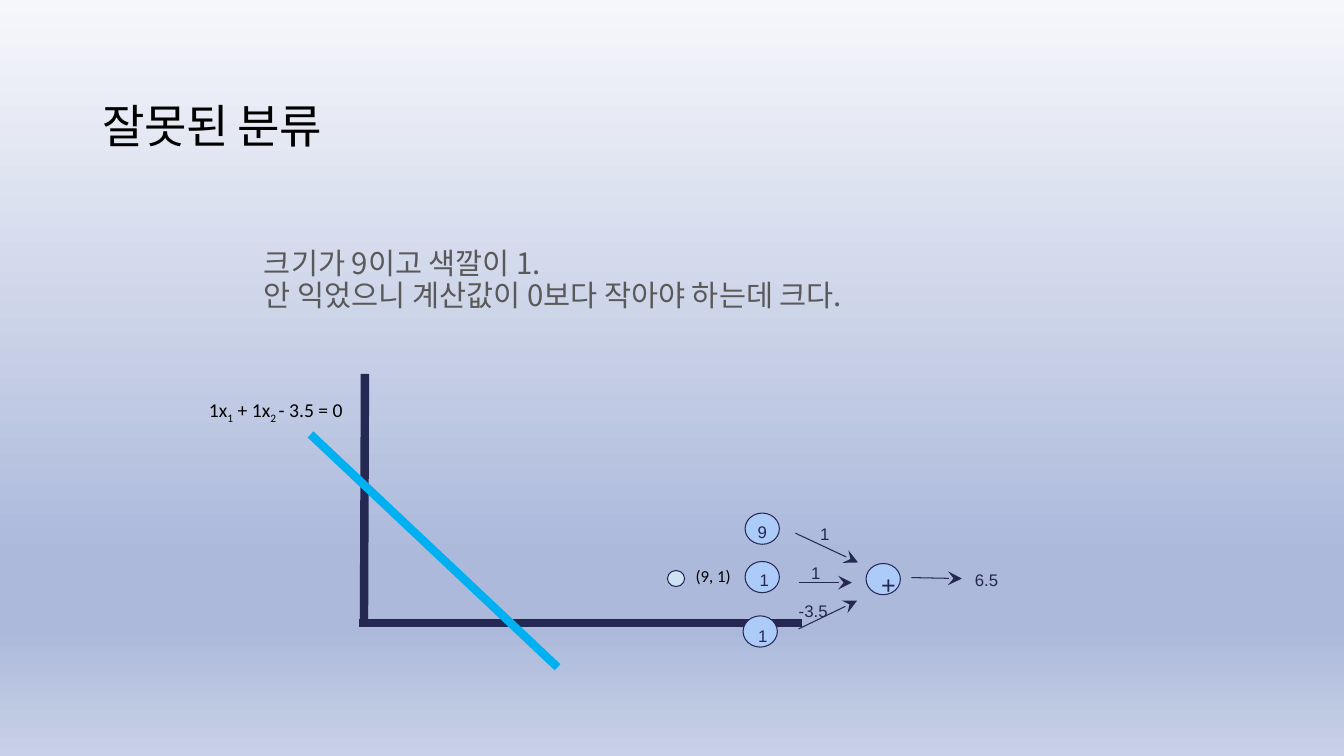
from typing import NamedTuple

from lxml import etree
from pptx import Presentation
from pptx.dml.color import RGBColor
from pptx.enum import shapes, text
from pptx.oxml.ns import qn
from pptx import util as u

PX = 9144  # 100 px to the inch
NAVY, BLACK, GREY, CYAN = "242852", "000000", "595959", "00B0F0"
SKY, PALE = "ACCBF9", "CFE2F3"
LEFT, MID = text.PP_ALIGN.LEFT, text.PP_ALIGN.CENTER
OVAL = shapes.MSO_SHAPE.OVAL
DOT = shapes.MSO_SHAPE.FLOWCHART_CONNECTOR
KOREAN = "Noto Sans CJK KR"


class Box(NamedTuple):
    x: int
    y: int
    w: int
    h: int


class Line(NamedTuple):
    x1: int
    y1: int
    x2: int
    y2: int


class Label(NamedTuple):
    box: Box
    words: str
    size: int = 12
    align: text.PP_ALIGN = MID


AXES = [Line(356, 618, 795, 618), Line(362, 371, 361, 620)]
SPLIT = Line(308, 431, 553, 662)
NODES = [(739, 509), (739, 557), (737, 611), (859, 559)]
ARROWS = [
    Line(789, 529, 851, 558),
    Line(792, 578, 845, 578),
    Line(792, 624, 850, 596),
    Line(904, 573, 954, 574),
]
LABELS = [
    # inputs and sum
    Label(Box(735, 505, 42, 23), "9"),
    Label(Box(734, 552, 48, 30), "1"),
    Label(Box(742, 608, 28, 27), "1"),
    Label(Box(864, 550, 28, 27), "+", 18),
    # weights
    Label(Box(801, 507, 34, 27), "1"),
    Label(Box(792, 545, 34, 27), "1"),
    Label(Box(779, 583, 55, 24), "-3.5"),
    # result
    Label(Box(957, 552, 167, 27), "6.5", align=LEFT),
]
EQUATION = [(" 1x", 0), ("1", -25), (" + 1x", 0), ("2 ", -25), ("- 3.5 = 0", 0)]
BODY = ["크기가 9이고 색깔이 1.", "안 익었으니 계산값이 0보다 작아야 하는데 크다."]
STOPS = [(0, "F6F7FB"), (74, "ACB9DB"), (83, "ACB9DB"), (100, "C8D1E7")]


def color(code: str) -> RGBColor:
    return RGBColor.from_string(code)


def scale(nums: tuple) -> list:
    return [u.Emu(n * PX) for n in nums]


def add_run(para, words: str, size: int, face: str, code: str, base: int = 0):
    run = para.add_run()
    run.text = words
    run.font.size = u.Pt(size)
    run.font.name = face
    run.font.color.rgb = color(code)
    props = run.font._element
    if base:
        props.set("baseline", str(base * 1000))
    if face == KOREAN:
        props.find(qn("a:latin")).addnext(
            props.makeelement(qn("a:ea"), {"typeface": face}))
    return run


def add_box(slide, box: Box, pad: int = 10):
    frame = slide.shapes.add_textbox(*scale(box)).text_frame
    frame.word_wrap = True
    frame.margin_left = frame.margin_right = 10 * PX
    frame.margin_top = frame.margin_bottom = pad * PX
    return frame


def add_label(slide, label: Label) -> None:
    para = add_box(slide, label.box).paragraphs[0]
    para.alignment = label.align
    para.line_spacing = 1.15
    para.space_after = u.Pt(16)
    add_run(para, label.words, label.size, "Arial", NAVY)


def add_line(slide, line: Line, code: str, width: float, arrow: bool = False) -> None:
    link = slide.shapes.add_connector(shapes.MSO_CONNECTOR.STRAIGHT, *scale(line))
    link.line.color.rgb = color(code)
    link.line.width = u.Pt(width)
    if arrow:
        etree.SubElement(link.line._get_or_add_ln(), qn("a:tailEnd"),
                         type="stealth", w="lg", len="lg")
    etree.SubElement(link._element.spPr, qn("a:effectLst"))


def add_disc(slide, kind: shapes.MSO_SHAPE, box: Box, code: str) -> None:
    disc = slide.shapes.add_shape(kind, *scale(box))
    disc.shadow.inherit = False
    disc.fill.solid()
    disc.fill.fore_color.rgb = color(code)
    disc.line.color.rgb = color(NAVY)
    disc.line.width = u.Pt(0.75)


def paint_back(slide) -> None:
    fill = slide.background.fill
    fill.gradient()
    fill.gradient_angle = 270
    stops = next(slide._element.iter(qn("a:gsLst")))
    for old in list(stops):
        stops.remove(old)
    for spot, code in STOPS:
        stop = etree.SubElement(stops, qn("a:gs"), pos=str(spot * 1000))
        etree.SubElement(stop, qn("a:srgbClr"), val=code)


def set_title(slide) -> None:
    title = slide.shapes.title
    title.left, title.top, title.width, title.height = scale(Box(92, 92, 1150, 71))
    frame = title.text_frame
    frame.auto_size = text.MSO_AUTO_SIZE.NONE
    frame.vertical_anchor = text.MSO_ANCHOR.MIDDLE
    para = frame.paragraphs[0]
    para.alignment = LEFT
    para.line_spacing = 0.9
    run = add_run(para, "잘못된 분류", 33, "Calibri", BLACK)
    run.font._element.set("spc", "-60")


def add_body(slide) -> None:
    frame = add_box(slide, Box(252, 237, 820, 82))
    for i, words in enumerate(BODY):
        para = frame.add_paragraph() if i else frame.paragraphs[0]
        props = para._p.get_or_add_pPr()
        props.set("marL", str(19 * PX))
        props.set("indent", str(-19 * PX))
        para.line_spacing = 0.9
        add_run(para, words, 21, KOREAN, GREY)


def main() -> None:
    deck = Presentation()
    deck.slide_width, deck.slide_height = u.Inches(13.33), u.Inches(7.5)
    slide = deck.slides.add_slide(deck.slide_layouts[5])
    paint_back(slide)
    set_title(slide)

    # Axes and equation
    for axis in AXES:
        add_line(slide, axis, NAVY, 6)
    frame = add_box(slide, Box(193, 390, 163, 34), 5)
    frame.auto_size = text.MSO_AUTO_SIZE.SHAPE_TO_FIT_TEXT
    for words, base in EQUATION:
        add_run(frame.paragraphs[0], words, 14, "Calibri", BLACK, base)

    # Neuron
    for x, y in NODES:
        add_disc(slide, OVAL, Box(x, y, 34, 31), SKY)
    for arrow in ARROWS:
        add_line(slide, arrow, NAVY, 0.75, True)
    for label in LABELS:
        add_label(slide, label)

    # Sample point
    frame = add_box(slide, Box(680, 551, 78, 40))
    add_run(frame.paragraphs[0], "(9, 1)", 12, "Calibri", BLACK)
    add_disc(slide, DOT, Box(662, 566, 17, 16), PALE)

    # Explanation and dividing line
    add_body(slide)
    add_line(slide, SPLIT, CYAN, 6)
    deck.save("out.pptx")


if __name__ == "__main__":
    main()
